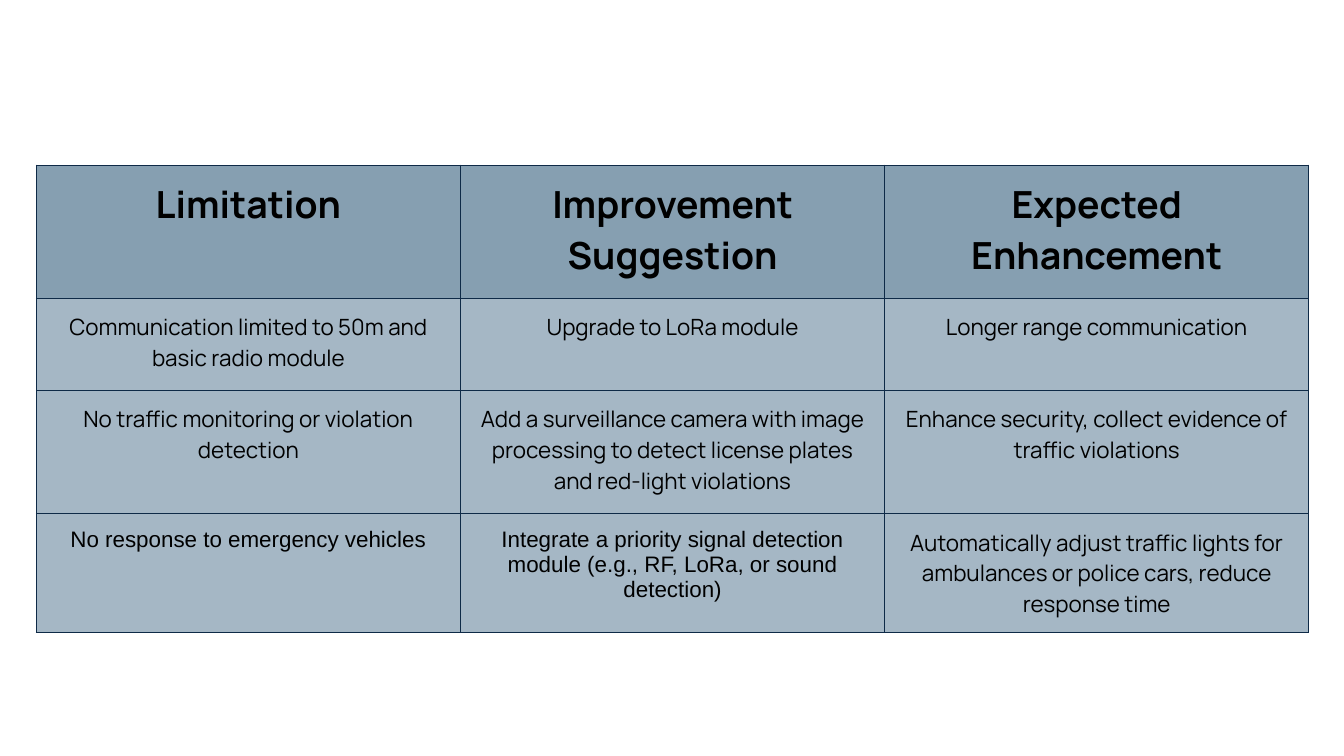
from lxml import etree
from pptx import Presentation, util as u
from pptx.dml.color import RGBColor
from pptx.enum import text
from pptx.oxml.ns import qn

PX = 9525
COLORS = {"header": "869FB1", "body": "A5B7C5", "border": "0E2A47", "ink": "000000"}
HEADINGS = ("Limitation", "Improvement Suggestion", "Expected Enhancement")
IMPROVEMENTS = (
    ("Communication limited to 50m and basic radio module",
     "Upgrade to LoRa module",
     "Longer range communication"),
    ("No traffic monitoring or violation detection",
     "Add a surveillance camera with image processing to detect license plates and red-light violations",
     "Enhance security, collect evidence of traffic violations"),
    ("No response to emergency vehicles",
     "Integrate a priority signal detection module (e.g., RF, LoRa, or sound detection)",
     "Automatically adjust traffic lights for ambulances or police cars, reduce response time"),
)
ROW_HEIGHTS = (95, 66, 88, 85)
ARIAL_CELLS = {(3, 0), (3, 1)}


def px(length):
    """Turn px into EMU."""
    return u.Emu(length * PX)


def draw_borders(cell):
    """Outline all four sides of a cell."""
    properties = cell._tc.get_or_add_tcPr()
    for position, side in enumerate(("lnL", "lnR", "lnT", "lnB")):
        line = etree.Element(qn(f"a:{side}"), w=str(u.Pt(0.75)))
        fill = etree.SubElement(line, qn("a:solidFill"))
        etree.SubElement(fill, qn("a:srgbClr"), val=COLORS["border"])
        properties.insert(position, line)


def format_cell(cell, wording, is_header, font_name):
    """Fill a cell and set its centred wording."""
    cell.margin_left = cell.margin_right = u.Inches(0.1)
    cell.margin_top = cell.margin_bottom = u.Inches(0.1)
    cell.fill.solid()
    cell.fill.fore_color.rgb = RGBColor.from_string(COLORS["header" if is_header else "body"])
    draw_borders(cell)
    cell.text = wording
    paragraph = cell.text_frame.paragraphs[0]
    paragraph.alignment = text.PP_ALIGN.CENTER
    paragraph.font.name = font_name
    paragraph.font.size = u.Pt(20 if is_header else 12)
    paragraph.font.bold = is_header
    paragraph.font.color.rgb = RGBColor.from_string(COLORS["ink"])


def add_improvement_table(slide, left, top, width):
    """Place the table of limitations and their improvements."""
    rows = (HEADINGS, *IMPROVEMENTS)
    table = slide.shapes.add_table(
        len(rows), len(HEADINGS), px(left), px(top), px(width), px(sum(ROW_HEIGHTS))
    ).table
    table.first_row = table.horz_banding = False
    for r, (wordings, height) in enumerate(zip(rows, ROW_HEIGHTS)):
        table.rows[r].height = px(height)
        for c, wording in enumerate(wordings):
            font_name = "Arial" if (r, c) in ARIAL_CELLS else "Manrope"
            format_cell(table.cell(r, c), wording, r == 0, font_name)


def main():
    """Build and save the slide."""
    deck = Presentation()
    deck.slide_width, deck.slide_height = px(960), px(540)
    slide = deck.slides.add_slide(deck.slide_layouts[6])
    add_improvement_table(slide, 26, 118, 909)
    deck.save("out.pptx")


if __name__ == "__main__":
    main()
